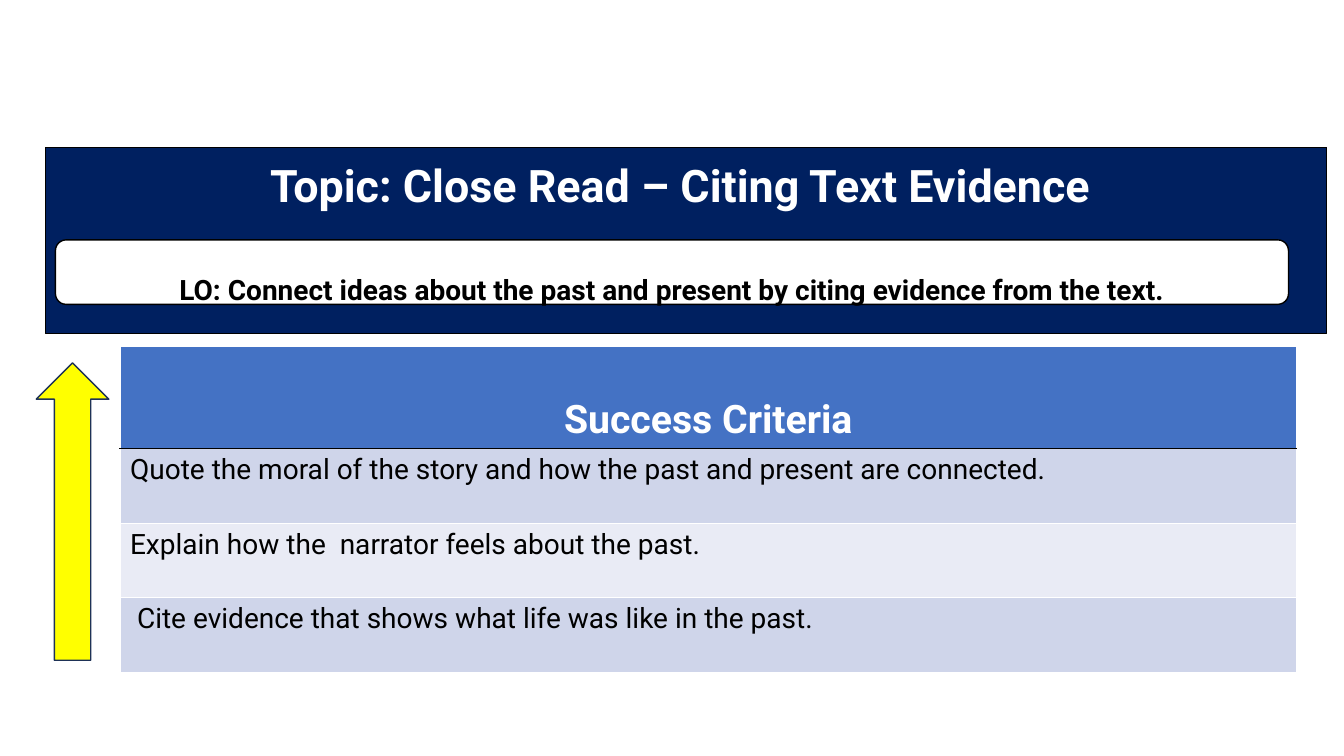
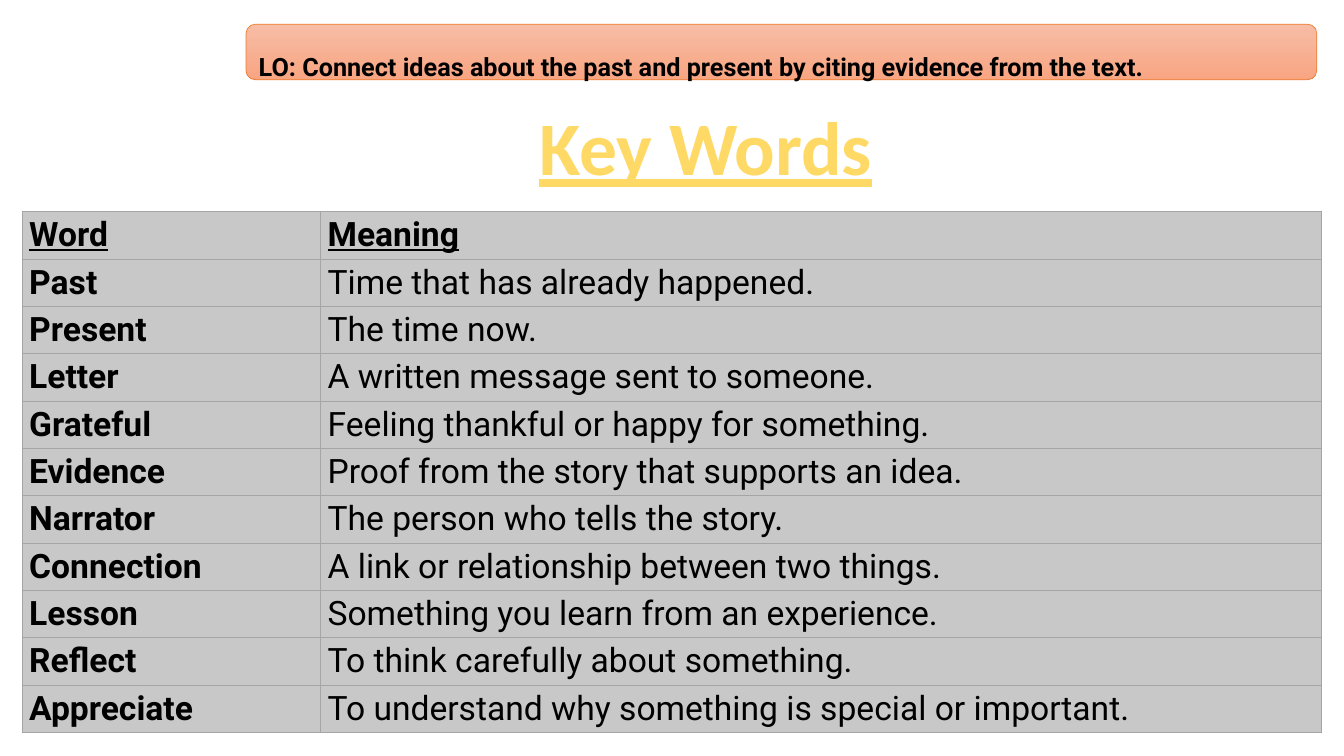
from dataclasses import dataclass
from typing import Any

import pptx
import pptx.dml.color
import pptx.enum.shapes
import pptx.enum.text
import pptx.oxml
import pptx.oxml.ns
import pptx.util

EMU_PER_PX = 9144
FONT = "Roboto"
BLACK, WHITE = "000000", "FFFFFF"
NAVY, BLUE, YELLOW, ORANGE = "002060", "4472C4", "FFFF00", "ED7D31"
GOLD, GREY, CELL_GREY = "FFD966", "A5A5A5", "C8C8C8"
BANDS = ("CFD5EA", "E9EBF5")
PEACH = ("F7BDA5", "F8A582")

SHAPE = pptx.enum.shapes.MSO_SHAPE
ALIGN = pptx.enum.text.PP_ALIGN
ANCHOR = pptx.enum.text.MSO_ANCHOR

OBJECTIVE = "LO: Connect ideas about the past and present by citing evidence from the text."
CRITERIA = (
    "Quote the moral of the story and how the past and present are connected.",
    "Explain how the  narrator feels about the past.",
    " Cite evidence that shows what life was like in the past.",
)
KEY_WORDS = (
    ("Word", "Meaning"),
    ("Past", "Time that has already happened."),
    ("Present", "The time now."),
    ("Letter", "A written message sent to someone."),
    ("Grateful", "Feeling thankful or happy for something."),
    ("Evidence", "Proof from the story that supports an idea."),
    ("Narrator", "The person who tells the story."),
    ("Connection", "A link or relationship between two things."),
    ("Lesson", "Something you learn from an experience."),
    ("Reflect", "To think carefully about something."),
    ("Appreciate", "To understand why something is special or important."),
)


@dataclass(frozen=True)
class Box:
    x: int
    y: int
    w: int
    h: int

    def emu(self) -> tuple[int, ...]:
        return tuple(px(v) for v in (self.x, self.y, self.w, self.h))


@dataclass(frozen=True)
class TextStyle:
    size: int
    color: str = BLACK
    bold: bool = False
    underline: bool = False
    align: Any = ALIGN.LEFT
    font: str = FONT
    spacing: float = 1.0


@dataclass(frozen=True)
class Border:
    """Cell edge colours in the order left, right, top, bottom."""

    colors: tuple[str, str, str, str]
    width: float


def px(n: int) -> int:
    return n * EMU_PER_PX


def rgb(color: str) -> pptx.dml.color.RGBColor:
    return pptx.dml.color.RGBColor.from_string(color)


def set_attrs(obj: Any, values: dict[str, Any]) -> None:
    for name, value in values.items():
        setattr(obj, name, value)


def set_margins(obj: Any, left: int, top: int, right: int, bottom: int) -> None:
    set_attrs(obj, {
        "margin_left": px(left), "margin_top": px(top),
        "margin_right": px(right), "margin_bottom": px(bottom),
    })


def write(tf: Any, text: str, style: TextStyle) -> None:
    p = tf.paragraphs[0]
    set_attrs(p, {"alignment": style.align, "line_spacing": style.spacing})
    r = p.add_run()
    r.text = text
    set_attrs(r.font, {
        "name": style.font, "size": pptx.util.Pt(style.size),
        "bold": style.bold, "underline": style.underline,
    })
    r.font.color.rgb = rgb(style.color)


def add_shape(s: Any, kind: Any, box: Box, fill: str | tuple[str, str],
              line: str, width: float) -> Any:
    """A tuple as fill runs as a gradient from top to bottom."""
    sp = s.shapes.add_shape(kind, *box.emu())
    sp.shadow.inherit = False
    if isinstance(fill, str):
        sp.fill.solid()
        sp.fill.fore_color.rgb = rgb(fill)
    else:
        sp.fill.gradient()
        sp.fill.gradient_angle = 270
        for stop, color in zip(sp.fill.gradient_stops, fill):
            stop.color.rgb = rgb(color)
    sp.line.color.rgb = rgb(line)
    sp.line.width = pptx.util.Pt(width)
    return sp


def add_objective(s: Any, box: Box, fill: str | tuple[str, str], line: str,
                  width: float, style: TextStyle) -> None:
    """The learning objective starts at mid-height of its rounded band."""
    sp = add_shape(s, SHAPE.ROUNDED_RECTANGLE, box, fill, line, width)
    tf = sp.text_frame
    set_attrs(tf, {"word_wrap": True, "vertical_anchor": ANCHOR.TOP})
    corner = round(box.h * 0.05)
    set_margins(tf, 10, box.h // 2 - corner, 10, 0)
    write(tf, OBJECTIVE, style)


def add_table(s: Any, x: int, y: int, cols: tuple[int, ...], rows: tuple[int, ...]) -> Any:
    box = Box(x, y, sum(cols), sum(rows))
    table = s.shapes.add_table(len(rows), len(cols), *box.emu()).table
    set_attrs(table, {"first_row": False, "horz_banding": False})
    for col, w in zip(table.columns, cols):
        col.width = px(w)
    for row, h in zip(table.rows, rows):
        row.height = px(h)
    return table


def fill_cell(cell: Any, text: str, style: TextStyle, fill: str, border: Border) -> None:
    tc_pr = cell._tc.get_or_add_tcPr()
    for side, color in zip("LRTB", border.colors):
        tc_pr.append(pptx.oxml.parse_xml(
            f'<a:ln{side} {pptx.oxml.ns.nsdecls("a")} w="{pptx.util.Pt(border.width)}">'
            f'<a:solidFill><a:srgbClr val="{color}"/></a:solidFill></a:ln{side}>'))
    cell.fill.solid()
    cell.fill.fore_color.rgb = rgb(fill)
    write(cell.text_frame, text, style)


def build_topic_slide(s: Any) -> None:
    add_shape(s, SHAPE.UP_ARROW, Box(36, 360, 72, 295), YELLOW, "1E3256", 1)
    topic = add_shape(s, SHAPE.RECTANGLE, Box(45, 146, 1271, 185), NAVY, BLACK, 0.75)
    tf = topic.text_frame
    set_attrs(tf, {"word_wrap": True, "vertical_anchor": ANCHOR.TOP})
    set_margins(tf, 10, 10, 10, 10)
    write(tf, "Topic: Close Read – Citing Text Evidence ",
          TextStyle(32, WHITE, bold=True, align=ALIGN.CENTER))

    table = add_table(s, 119, 344, (1167,), (100,) + (74,) * len(CRITERIA))
    fill_cell(table.cell(0, 0), "Success Criteria",
              TextStyle(28, WHITE, bold=True, align=ALIGN.CENTER, spacing=2.0),
              BLUE, Border((WHITE, WHITE, WHITE, BLACK), 1))
    for i, text in enumerate(CRITERIA):
        top = WHITE if i else BLACK
        fill_cell(table.cell(i + 1, 0), text, TextStyle(20), BANDS[i % 2],
                  Border((WHITE, WHITE, top, WHITE), 1))

    add_objective(s, Box(55, 238, 1223, 64), WHITE, BLACK, 1,
                  TextStyle(20, bold=True, align=ALIGN.CENTER))


def build_key_words_slide(s: Any) -> None:
    add_objective(s, Box(244, 24, 1062, 55), PEACH, ORANGE, 0.5, TextStyle(18, bold=True))

    table = add_table(s, 22, 210, (296, 993), (47,) * len(KEY_WORDS))
    border = Border((GREY,) * 4, 0.5)
    for i, entry in enumerate(KEY_WORDS):
        for j, text in enumerate(entry):
            cell = table.cell(i, j)
            cell.vertical_anchor = ANCHOR.MIDDLE
            set_margins(cell, 7, 3, 7, 3)
            header = i == 0
            fill_cell(cell, text, TextStyle(24, bold=header or j == 0, underline=header),
                      CELL_GREY, border)

    title = s.shapes.add_textbox(*Box(523, 94, 354, 101).emu())
    title.text_frame.word_wrap = False
    write(title.text_frame, "Key Words",
          TextStyle(54, GOLD, bold=True, underline=True, align=ALIGN.CENTER, font="Calibri"))


def main() -> None:
    prs = pptx.Presentation()
    set_attrs(prs, {"slide_width": px(1333), "slide_height": px(750)})
    blank = prs.slide_layouts[6]
    for build in (build_topic_slide, build_key_words_slide):
        build(prs.slides.add_slide(blank))
    prs.save("out.pptx")


if __name__ == "__main__":
    main()
